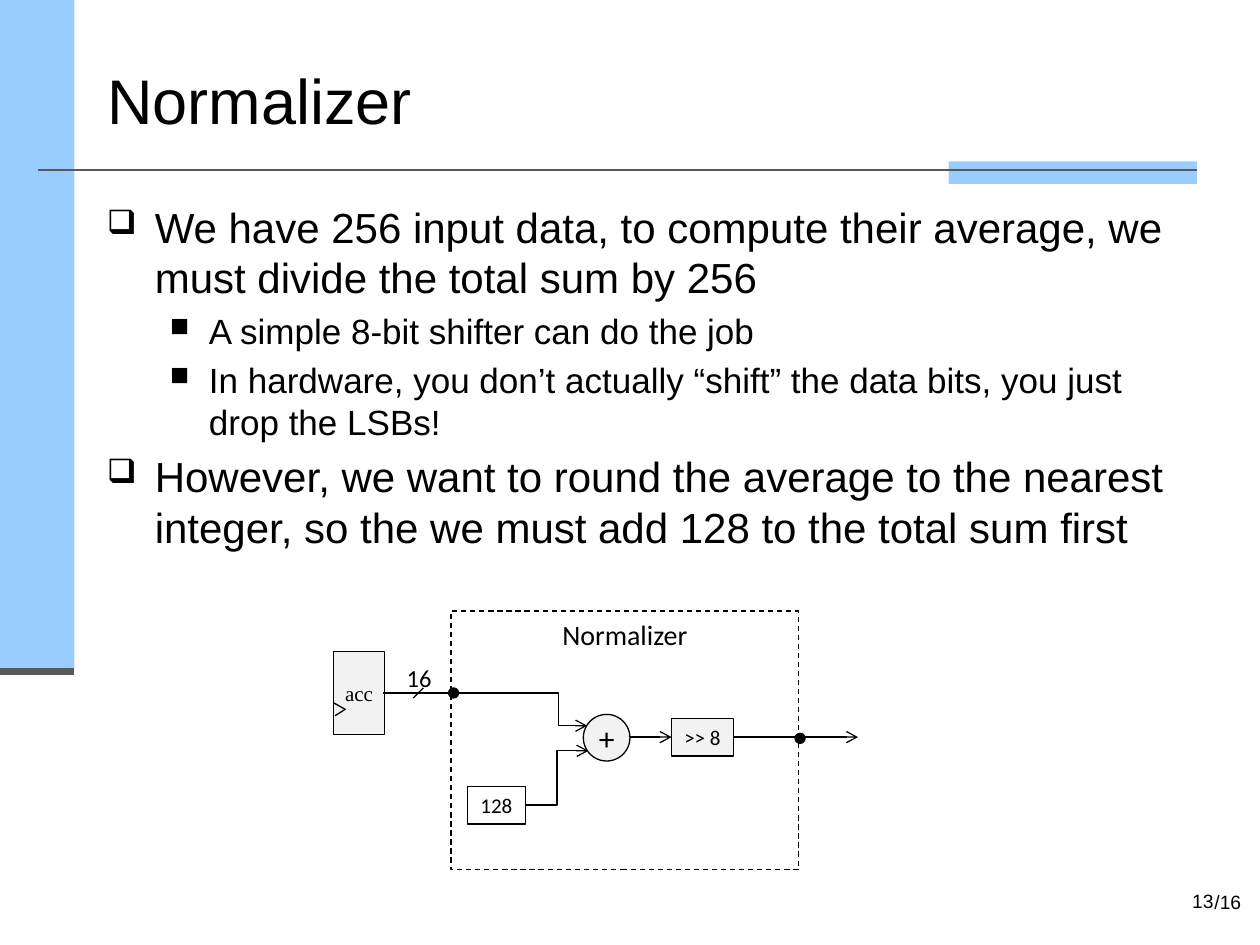
import pptx
import pptx.util
import pptx.dml.color
import pptx.enum.dml
import pptx.enum.shapes
import pptx.enum.text
import pptx.oxml
import pptx.oxml.ns
import lxml.etree

Inches = pptx.util.Inches
Pt = pptx.util.Pt
SHAPE = pptx.enum.shapes.MSO_SHAPE
WIRE = pptx.enum.shapes.MSO_CONNECTOR
ALIGN = pptx.enum.text.PP_ALIGN
ANCHOR = pptx.enum.text.MSO_ANCHOR
qn = pptx.oxml.ns.qn

COLORS = {"accent": "99CCFF", "rule": "595959", "ink": "000000", "paper": "FFFFFF", "block": "F2F2F2"}

TITLE = "Normalizer"
BULLETS = [
    (0, "We have 256 input data, to compute their average, we must divide the total sum by 256"),
    (1, "A simple 8-bit shifter can do the job"),
    (1, "In hardware, you don’t actually “shift” the data bits, you just drop the LSBs!"),
    (0, "However, we want to round the average to the nearest integer, so the we must add 128 to the total sum first"),
]
LEVELS = [
    {"size": 24, "left": 0.38, "hang": 0.38, "before": 4.8, "mark": "❑", "scale": 80},
    {"size": 20, "left": 0.81, "hang": 0.31, "before": 4, "mark": "■", "scale": 75},
]
BANDS = [(7.53, 1.28, 1.97, 0.18), (0, 0, 0.59, 5.33)]
RULES = [((0, 5.33), (0.59, 5.33), 4), ((0.3, 1.35), (9.5, 1.35), 1.5)]
BLOCKS = [
    (SHAPE.OVAL, (4.63, 5.67, 0.37, 0.37), "block", "+", 18, "Calibri"),
    (SHAPE.RECTANGLE, (2.65, 5.17, 0.4, 0.66), "block", "acc", 12, "Times New Roman"),
    (SHAPE.RECTANGLE, (3.71, 6.24, 0.46, 0.3), None, "128", 12, "Calibri"),
    (SHAPE.RECTANGLE, (5.33, 5.7, 0.49, 0.3), "block", ">> 8", 12, "Calibri"),
]
CLOCK_MARK = [(2.65, 5.58), (2.74, 5.63), (2.66, 5.68)]
PORTS = [(3.6, 5.5), (6.35, 5.86)]
PORT_SIZE = 0.08
ARROWS = [
    (WIRE.ELBOW, (4.17, 6.39), (4.67, 5.96), 0.5),
    (WIRE.ELBOW, (3.04, 5.5), (4.66, 5.76), 0.858),
    (WIRE.STRAIGHT, (5, 5.85), (5.33, 5.85), None),
    (WIRE.STRAIGHT, (5.82, 5.85), (6.81, 5.85), None),
]


def rgb(name):
    return pptx.dml.color.RGBColor.from_string(COLORS[name])


def style_text(paragraph, size, font="Arial", align=None):
    paragraph.alignment = align
    for span in paragraph.runs:
        span.font.size = Pt(size)
        span.font.name = font
        span.font.color.rgb = rgb("ink")


def add_label(at, text, size, font="Arial", align=None, wrap=False, anchor=ANCHOR.TOP):
    box = page.shapes.add_textbox(*map(Inches, at))
    frame = box.text_frame
    frame.word_wrap = wrap
    frame.vertical_anchor = anchor
    frame.text = text
    style_text(frame.paragraphs[0], size, font, align)


def paint(shape, fill, line="ink"):
    shape.shadow.inherit = False
    if fill:
        shape.fill.solid()
        shape.fill.fore_color.rgb = rgb(fill)
    else:
        shape.fill.background()
    if line:
        shape.line.color.rgb = rgb(line)
        shape.line.width = Pt(0.75)
    else:
        shape.line.fill.background()


def add_block(kind, at, fill, line="ink"):
    shape = page.shapes.add_shape(kind, *map(Inches, at))
    paint(shape, fill, line)
    return shape


def add_wire(kind, start, end, color="ink", width=0.75, arrow=False, bend=None):
    wire = page.shapes.add_connector(kind, *map(Inches, start + end))
    wire.line.color.rgb = rgb(color)
    wire.line.width = Pt(width)
    properties = wire._element.spPr
    if bend is not None:
        adjustments = properties.find(qn("a:prstGeom")).get_or_add_avLst()
        lxml.etree.SubElement(adjustments, qn("a:gd"), name="adj1", fmla=f"val {round(bend * 100000)}")
    if arrow:
        lxml.etree.SubElement(properties.find(qn("a:ln")), qn("a:tailEnd"), type="arrow")
    lxml.etree.SubElement(properties, qn("a:effectLst"))


def add_bullet(paragraph, level, text):
    look = LEVELS[level]
    paragraph.text = text
    paragraph.level = level
    paragraph.space_before = Pt(look["before"])
    style_text(paragraph, look["size"])
    properties = paragraph._p.get_or_add_pPr()
    properties.set("marL", str(Inches(look["left"])))
    properties.set("indent", str(-Inches(look["hang"])))
    lxml.etree.SubElement(properties, qn("a:buSzPct"), val=str(look["scale"] * 1000))
    lxml.etree.SubElement(properties, qn("a:buChar"), char=look["mark"])


deck = pptx.Presentation()
deck.slide_width, deck.slide_height = Inches(10), Inches(7.5)
page = deck.slides.add_slide(deck.slide_layouts[5])

for band in BANDS:
    add_block(SHAPE.RECTANGLE, band, "accent", None)
for start, end, width in RULES:
    add_wire(WIRE.STRAIGHT, start, end, "rule", width)

title = page.shapes.title
title.left, title.top, title.width, title.height = map(Inches, (0.75, 0.3, 8.75, 0.98))
title.text_frame.text = TITLE
title.text_frame.vertical_anchor = ANCHOR.MIDDLE
style_text(title.text_frame.paragraphs[0], 36, align=ALIGN.LEFT)

body = page.shapes.add_textbox(*map(Inches, (0.75, 1.55, 8.75, 5.15))).text_frame
body.word_wrap = True
for index, (level, text) in enumerate(BULLETS):
    add_bullet(body.add_paragraph() if index else body.paragraphs[0], level, text)

add_label((9.54, 7.02, 0.42, 0.29), "/16", 11)
add_label((7.17, 6.95, 2.56, 0.4), "13", 11, align=ALIGN.RIGHT, wrap=True, anchor=ANCHOR.MIDDLE)

module = add_block(SHAPE.RECTANGLE, (3.58, 4.85, 2.76, 2.05), "paper")
module.line.dash_style = pptx.enum.dml.MSO_LINE.DASH
module.text_frame.text = "Normalizer"
module.text_frame.vertical_anchor = ANCHOR.TOP
style_text(module.text_frame.paragraphs[0], 16, "Calibri", ALIGN.CENTER)

add_wire(WIRE.STRAIGHT, (3.36, 5.46), (3.28, 5.54))
add_label((3.13, 5.21, 0.4, 0.34), "16", 14, "Calibri")

for kind, at, fill, text, size, font in BLOCKS:
    frame = add_block(kind, at, fill).text_frame
    frame.margin_left = frame.margin_right = frame.margin_top = frame.margin_bottom = 0
    frame.word_wrap = False
    frame.vertical_anchor = ANCHOR.MIDDLE
    frame.text = text
    style_text(frame.paragraphs[0], size, font, ALIGN.CENTER)

points = [tuple(map(Inches, point)) for point in CLOCK_MARK]
builder = page.shapes.build_freeform(*points[0])
builder.add_line_segments(points[1:], close=False)
paint(builder.convert_to_shape(), None)

for x, y in PORTS:
    add_block(SHAPE.OVAL, (x - PORT_SIZE / 2, y - PORT_SIZE / 2, PORT_SIZE, PORT_SIZE), "ink")
for kind, start, end, bend in ARROWS:
    add_wire(kind, start, end, arrow=True, bend=bend)

deck.save("out.pptx")
